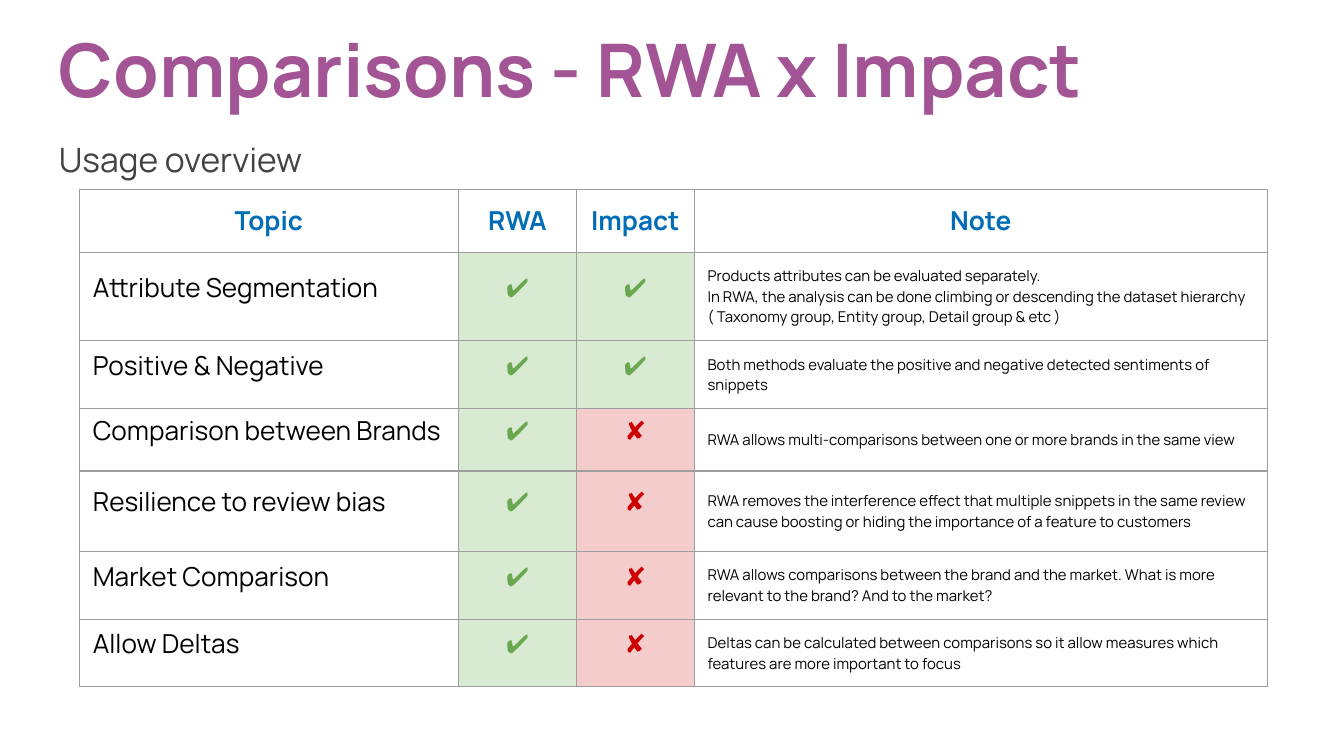
"""Build a slide that compares the RWA and Impact methods in a table."""
from dataclasses import dataclass

from lxml.etree import SubElement
from pptx import Presentation
from pptx.dml.color import RGBColor as Rgb
from pptx.enum.text import MSO_ANCHOR as Anchor, PP_ALIGN as Align
from pptx.oxml.ns import qn
from pptx.util import Inches, Pt


@dataclass(frozen=True)
class Theme:
    font: str = "Manrope"
    purple: str = "A35494"
    gray: str = "434244"
    blue: str = "006DB6"
    black: str = "000000"
    border: str = "9E9E9E"
    border_width: float = 0.75
    title_size: float = 39.6
    subtitle_size: float = 18
    topic_size: float = 14
    note_size: float = 8
    tight: float = 0.06


THEME = Theme()
WIDTH = 10
HEIGHT = WIDTH * 9 / 16
COLUMNS = 100
ROWS = COLUMNS * 9 / 16
MARK_COLORS = {"✔": ("6AA84F", "D9EAD3"), "✘": ("CC0000", "F4CCCC")}

HEADINGS = ("Topic", "RWA", "Impact", "Note")
COLUMN_SPANS = (28.2, 8.8, 8.75, 42.65)
ROW_SPANS = (4.7, 6.55, 5.05, 4.65, 6, 5.05, 5)
COMPARISONS = (
    ("Attribute Segmentation", "✔", "✔",
     "Products attributes can be evaluated separately.\n"
     "In RWA, the analysis can be done climbing or descending the dataset hierarchy "
     "( Taxonomy group, Entity group, Detail group & etc )"),
    ("Positive & Negative", "✔", "✔",
     "Both methods evaluate the positive and negative detected sentiments of snippets"),
    ("Comparison between Brands", "✔", "✘",
     "RWA allows multi-comparisons between one or more brands in the same view"),
    ("Resilience to review bias", "✔", "✘",
     "RWA removes the interference effect that multiple snippets in the same review "
     "can cause boosting or hiding the importance of a feature to customers"),
    ("Market Comparison", "✔", "✘",
     "RWA allows comparisons between the brand and the market. "
     "What is more relevant to the brand? And to the market?"),
    ("Allow Deltas", "✔", "✘",
     "Deltas can be calculated between comparisons so it allow measures which "
     "features are more important to focus"),
)


def write(frame, text, *, size, color, bold=False, align=Align.LEFT, spacing=None):
    frame.word_wrap = True
    frame.margin_left = frame.margin_right = Inches(0.1)
    frame.margin_top = frame.margin_bottom = Inches(0.1)
    for index, line in enumerate(text.split("\n")):
        paragraph = frame.add_paragraph() if index else frame.paragraphs[0]
        paragraph.alignment = align
        if spacing:
            paragraph.line_spacing = spacing
        run = paragraph.add_run()
        run.text = line
        run.font.name = THEME.font
        run.font.size = Pt(size)
        run.font.bold = bold
        run.font.color.rgb = Rgb.from_string(color)


class SlideBuilder:
    def __init__(self, slide, theme):
        self.slide = slide
        self.theme = theme

    def across(self, columns):
        return Inches(columns * WIDTH / COLUMNS)

    def down(self, rows):
        return Inches(rows * HEIGHT / ROWS)

    def text(self, left, top, width, height, words, anchor=Anchor.TOP, **style):
        box = self.slide.shapes.add_textbox(
            self.across(left), self.down(top), self.across(width), self.down(height))
        write(box.text_frame, words, **style)
        box.text_frame.vertical_anchor = anchor

    def table(self, left, top, column_spans, row_spans):
        grid = self.slide.shapes.add_table(
            len(row_spans), len(column_spans), self.across(left), self.down(top),
            self.across(sum(column_spans)), self.down(sum(row_spans))).table
        grid.first_row = grid.horz_banding = False
        for column, span in zip(grid.columns, column_spans):
            column.width = self.across(span)
        for row, span in zip(grid.rows, row_spans):
            row.height = self.down(span)
        return grid

    def cell(self, cell, words, fill=None, anchor=Anchor.MIDDLE, **style):
        write(cell.text_frame, words, **style)
        cell.margin_left = cell.margin_right = self.across(1)
        cell.margin_top = cell.margin_bottom = self.down(1)
        cell.vertical_anchor = anchor
        self.borders(cell)
        if fill:
            cell.fill.solid()
            cell.fill.fore_color.rgb = Rgb.from_string(fill)
        else:
            cell.fill.background()

    def borders(self, cell):
        properties = cell._tc.get_or_add_tcPr()
        for side in ("a:lnL", "a:lnR", "a:lnT", "a:lnB"):
            line = SubElement(properties, qn(side), w=str(Pt(self.theme.border_width)))
            paint = SubElement(line, qn("a:solidFill"))
            SubElement(paint, qn("a:srgbClr"), val=self.theme.border)


def main():
    deck = Presentation()
    deck.slide_width, deck.slide_height = Inches(WIDTH), Inches(HEIGHT)
    builder = SlideBuilder(deck.slides.add_slide(deck.slide_layouts[6]), THEME)

    builder.text(3.4, 8.9, 48.3, 30.6, "Usage overview",
                 size=THEME.subtitle_size, color=THEME.gray, spacing=1.15)
    builder.text(3.4, 1.9, 93.2, 6.3, "Comparisons - RWA x Impact", anchor=Anchor.MIDDLE,
                 size=THEME.title_size, color=THEME.purple, bold=True)

    overview = builder.table(5.9, 14.1, COLUMN_SPANS, ROW_SPANS)
    for column, heading in enumerate(HEADINGS):
        builder.cell(overview.cell(0, column), heading, anchor=Anchor.TOP, bold=True,
                     size=THEME.topic_size, color=THEME.blue, align=Align.CENTER)
    for row, (topic, rwa, impact, note) in enumerate(COMPARISONS, start=1):
        builder.cell(overview.cell(row, 0), topic, size=THEME.topic_size,
                     color=THEME.black, spacing=THEME.tight)
        for column, mark in enumerate((rwa, impact), start=1):
            ink, fill = MARK_COLORS[mark]
            builder.cell(overview.cell(row, column), mark, fill=fill, color=ink,
                         size=THEME.topic_size, align=Align.CENTER, spacing=THEME.tight)
        builder.cell(overview.cell(row, 3), note, size=THEME.note_size, color=THEME.black)

    deck.save("out.pptx")


if __name__ == "__main__":
    main()
